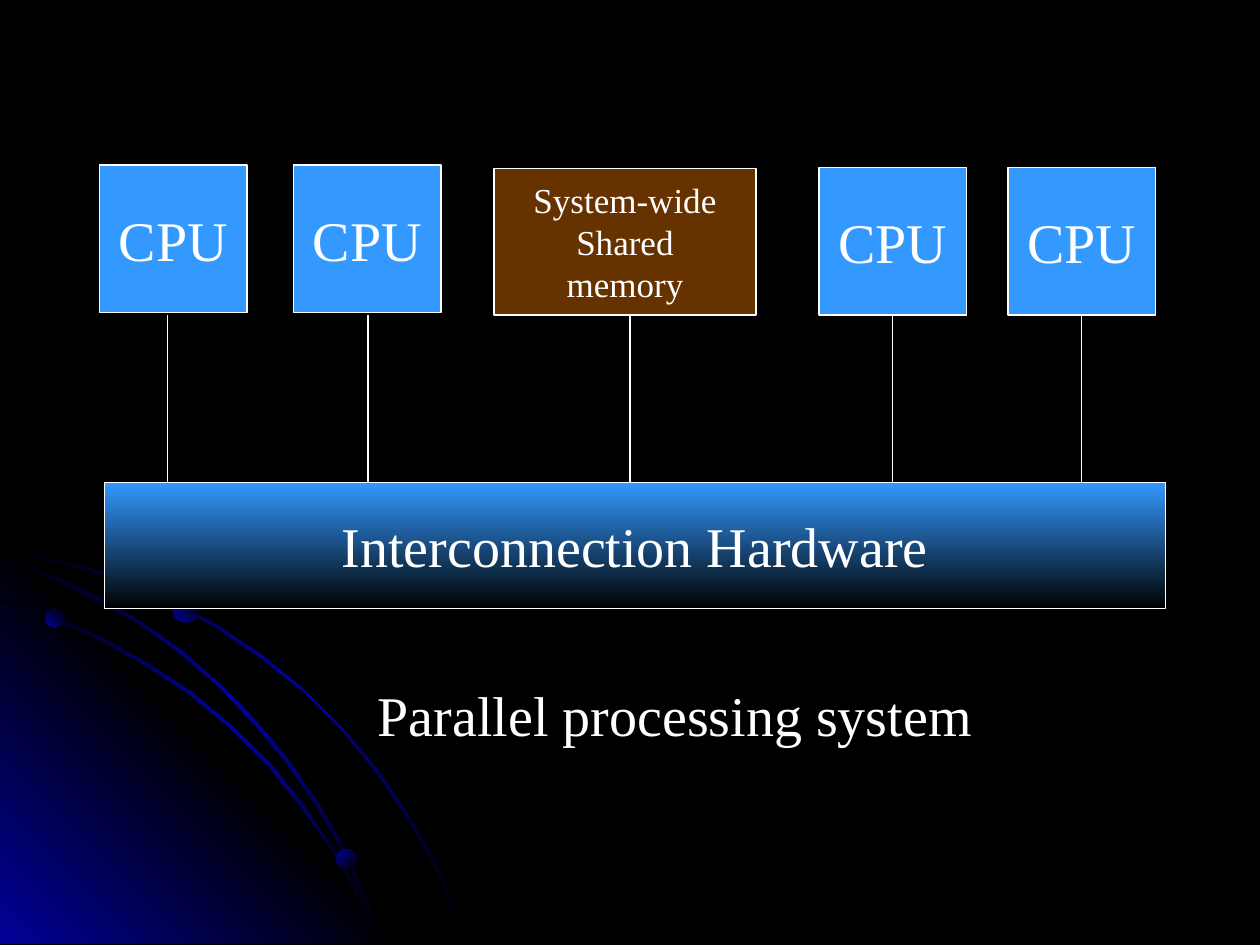
from lxml import etree
from pptx import Presentation
from pptx.dml.color import RGBColor
from pptx.enum.shapes import MSO_CONNECTOR, MSO_SHAPE
from pptx.enum.text import MSO_ANCHOR, MSO_AUTO_SIZE, PP_ALIGN
from pptx.oxml.ns import qn
from pptx.util import Pt

PX = 9144  # EMU; 100 px to the inch
FONT = "Times New Roman"
WHITE, BLACK, BLUE, NAVY, BROWN = "FFFFFF", "000000", "3399FF", "010199", "663300"

WIDE_ARC = [
    (57, 447), (28, 441), (0, 435), (0, 438), (28, 443), (56, 449), (97, 461),
    (135, 478), (173, 499), (208, 523), (241, 549), (271, 579), (298, 612),
    (323, 649), (337, 673), (350, 698), (360, 723), (370, 749), (372, 749),
    (362, 723), (352, 698), (339, 673), (325, 648), (300, 611), (272, 578),
    (242, 548), (209, 521), (174, 497), (136, 477), (98, 459)]
CORNER = [(322, 749), (0, 749), (0, 427)]
LOW_ARC = [
    (285, 714), (294, 732), (301, 749), (303, 749), (296, 730), (286, 712),
    (266, 676), (242, 640), (215, 606), (184, 576), (152, 549), (117, 526),
    (79, 505), (41, 488), (0, 475), (0, 477), (39, 490), (77, 507), (115, 528),
    (150, 551), (183, 578), (213, 608), (240, 642), (265, 677)]
MIDDLE_ARC = [
    (0, 442), (0, 444), (36, 457), (74, 475), (109, 494), (142, 518), (173, 544),
    (202, 575), (227, 605), (252, 641), (267, 667), (280, 694), (292, 722),
    (301, 749), (303, 749), (294, 720), (282, 693), (269, 665), (254, 639),
    (229, 603), (204, 573), (175, 543), (144, 516), (111, 493), (76, 473), (39, 455)]


def px(*lengths):
    return [round(n * PX) for n in lengths]


def rgb(color):
    return RGBColor.from_string(color)


def fill_gradient(shape, colors, angle):
    """Spread colors evenly; angle is clockwise from left-to-right."""
    shape.fill.gradient()
    shape.fill.gradient_angle = 360 - angle
    stops = shape.element.spPr.find(qn("a:gradFill")).find(qn("a:gsLst"))
    for stop in list(stops):
        stops.remove(stop)
    for i, color in enumerate(colors):
        pos = 100000 * i // (len(colors) - 1)
        stop = etree.SubElement(stops, qn("a:gs"), pos=str(pos))
        etree.SubElement(stop, qn("a:srgbClr"), val=color)


def add_swoosh(shapes, points, colors, angle):
    builder = shapes.build_freeform(*points[0], scale=PX)
    builder.add_line_segments(points[1:], close=True)
    finish_decor(builder.convert_to_shape(), colors, angle)


def add_dot(shapes, x, y, size, angle):
    dot = shapes.add_shape(MSO_SHAPE.OVAL, *px(x, y, size, size))
    finish_decor(dot, [BLACK, NAVY], angle)


def finish_decor(shape, colors, angle):
    shape.shadow.inherit = False
    shape.line.fill.background()
    fill_gradient(shape, colors, angle)


def add_backdrop(s):
    shapes = s.shapes.add_group_shape().shapes
    glow = [BLACK, NAVY, BLACK]
    add_swoosh(shapes, WIDE_ARC, glow, 225)
    add_swoosh(shapes, CORNER, [NAVY, BLACK, NAVY], 135)
    add_swoosh(shapes, LOW_ARC, glow, 225)
    add_swoosh(shapes, MIDDLE_ARC, glow, 225)
    add_dot(shapes, 36, 483, 15, 135)
    add_dot(shapes, 267, 674, 16, 225)
    add_dot(shapes, 137, 473, 21, 135)


def set_text(shape, lines, size, align):
    tf = shape.text_frame
    tf.word_wrap = False
    tf.text = "\n".join(lines)
    for p in tf.paragraphs:
        p.alignment = align
        p.font.name, p.font.size = FONT, Pt(size)
        p.font.color.rgb = rgb(WHITE)


def add_box(s, x, y, w, h, lines, color, size=32):
    box = s.shapes.add_shape(MSO_SHAPE.RECTANGLE, *px(x, y, w, h))
    box.shadow.inherit = False
    box.fill.solid()
    box.fill.fore_color.rgb = rgb(color)
    box.line.color.rgb = rgb(WHITE)
    box.line.width = Pt(0.75)
    set_text(box, lines, size, PP_ALIGN.CENTER)
    box.text_frame.vertical_anchor = MSO_ANCHOR.MIDDLE
    return box


def add_link(s, x, box=None):
    """Drop a line from the top row to the interconnect, joined to box if given."""
    link = s.shapes.add_connector(MSO_CONNECTOR.STRAIGHT, *px(x, 250, x, 383))
    if box is not None:
        link.begin_connect(box, 2)
    link.line.color.rgb = rgb(WHITE)
    link.line.width = Pt(0.75)
    etree.SubElement(link.element.spPr, qn("a:effectLst"))


def add_caption(s, x, y, w, h, text):
    caption = s.shapes.add_textbox(*px(x, y, w, h))
    set_text(caption, [text], 32, PP_ALIGN.LEFT)
    caption.text_frame.auto_size = MSO_AUTO_SIZE.SHAPE_TO_FIT_TEXT


def main():
    prs = Presentation()
    prs.slide_width, prs.slide_height = px(1000, 750)
    s = prs.slides.add_slide(prs.slide_layouts[6])
    s.background.fill.solid()
    s.background.fill.fore_color.rgb = rgb(BLACK)

    add_backdrop(s)
    for x in (79, 233):
        add_box(s, x, 131, 117, 117, ["CPU"], BLUE)
    add_box(s, 392, 134, 208, 116, ["System-wide", "Shared", "memory"], BROWN, 20)
    right_cpus = [add_box(s, x, 133, 117, 117, ["CPU"], BLUE) for x in (650, 800)]
    hardware = add_box(s, 83, 383, 842, 100, ["Interconnection Hardware"], BLUE)
    fill_gradient(hardware, [BLUE, BLACK], 90)

    for x in (133, 292, 500):
        add_link(s, x)
    for x, cpu in zip((708.5, 858.5), right_cpus):
        add_link(s, x, cpu)
    add_caption(s, 290, 535, 492, 64, "Parallel processing system")
    prs.save("out.pptx")


if __name__ == "__main__":
    main()
